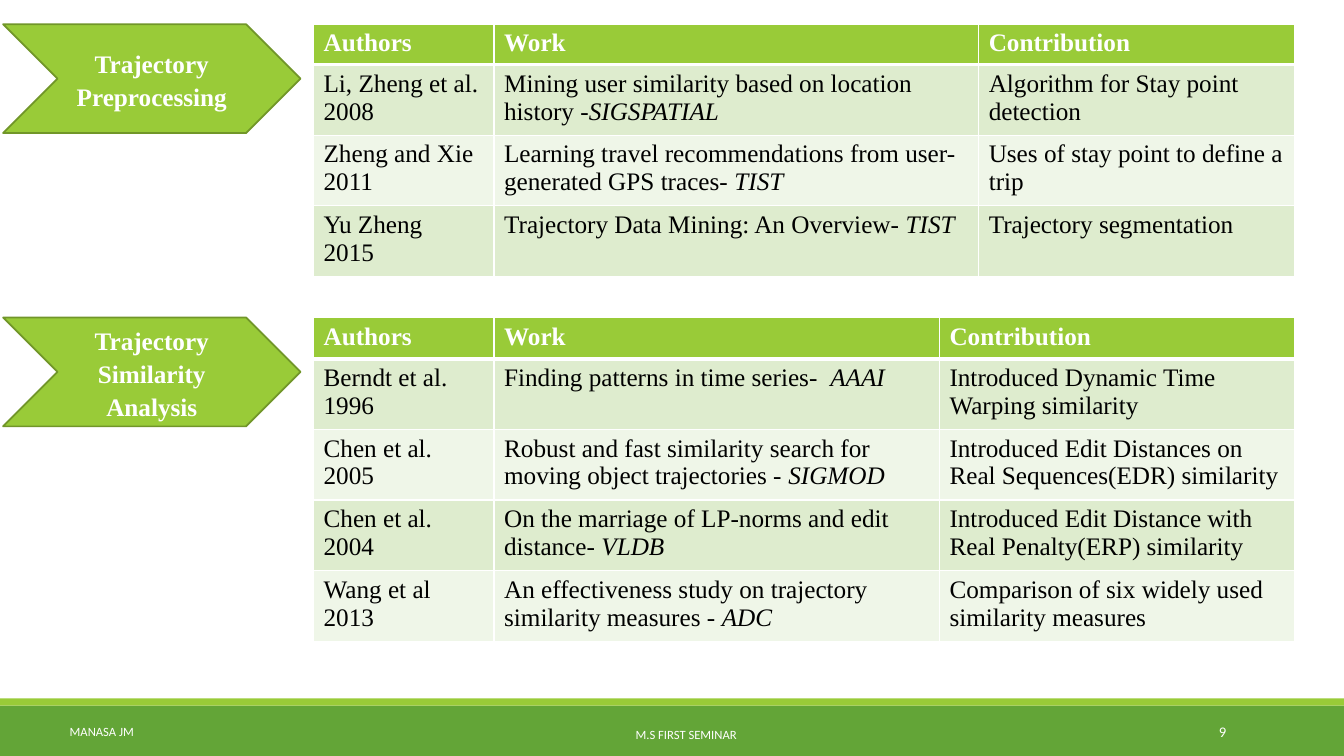
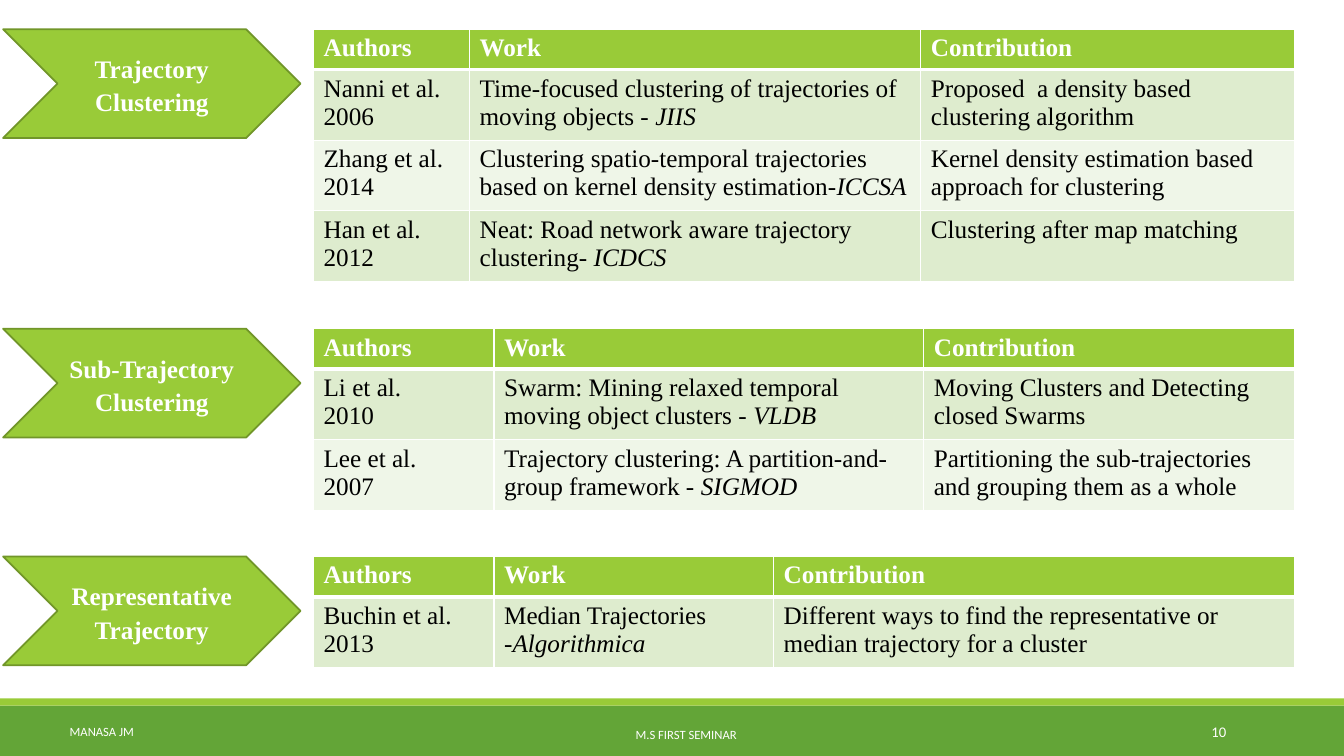
from dataclasses import dataclass

from lxml import etree
from pptx import Presentation
from pptx.dml.color import RGBColor
from pptx.enum.shapes import MSO_SHAPE
from pptx.enum.text import MSO_ANCHOR, PP_ALIGN
from pptx.oxml.ns import qn
from pptx.util import Inches, Pt

RECTANGLE, CHEVRON = MSO_SHAPE.RECTANGLE, MSO_SHAPE.CHEVRON
CENTER, RIGHT = PP_ALIGN.CENTER, PP_ALIGN.RIGHT
MIDDLE = MSO_ANCHOR.MIDDLE


@dataclass(frozen=True)
class Theme:
    lime: str = "99CB38"
    green: str = "63A537"
    outline: str = "719629"
    bands: tuple = ("DEECCE", "EFF6E8")
    white: str = "FFFFFF"
    black: str = "000000"
    body_font: str = "Times New Roman"
    footer_font: str = "Calibri"
    body_size: float = 18
    number_size: float = 10.5
    footer_size: float = 9


@dataclass(frozen=True)
class Box:
    left: int
    top: int
    width: int
    height: int

    def inner(self, left, top, width, height):
        """Return an inner box given in percent of this one."""
        return Box(self.left + int(self.width * left / 100),
                   self.top + int(self.height * top / 100),
                   int(self.width * width / 100),
                   int(self.height * height / 100))

    def frame(self):
        return self.left, self.top, self.width, self.height


@dataclass(frozen=True)
class Section:
    """A topic and its papers; lengths are percent of the slide."""
    topic: str
    top: float
    columns: tuple      # percent of the table's width
    papers: tuple       # authors, title, venue, contribution
    header_height: float = 5.07
    first_height: float = 8.8


THEME = Theme()
PAGE = Box(0, 0, Inches(13.33), Inches(7.5))
HEADINGS = ("Authors", "Work", "Contribution")
CHEVRON_HEIGHT = 14.4
ROW_HEIGHT = 8.8


def color(value):
    return RGBColor.from_string(value)


def style_font(font, name, size, value, bold=False):
    font.name, font.size, font.bold = name, Pt(size), bold
    font.color.rgb = color(value)


def add_block(slide, preset, box, fill):
    shape = slide.shapes.add_shape(preset, *box.frame())
    shape.shadow.inherit = False
    shape.fill.solid()
    shape.fill.fore_color.rgb = color(fill)
    shape.line.fill.background()
    return shape


def add_chevron(slide, box, topic):
    shape = add_block(slide, CHEVRON, box, THEME.lime)
    shape.line.color.rgb = color(THEME.outline)
    shape.line.width = Pt(1.25)
    text_frame = shape.text_frame
    text_frame.word_wrap = True
    text_frame.vertical_anchor = MIDDLE
    text_frame.text = topic
    paragraph = text_frame.paragraphs[0]
    paragraph.alignment = CENTER
    paragraph.line_spacing = 1.1
    style_font(paragraph.runs[0].font, THEME.body_font, THEME.body_size,
               THEME.white, True)


def set_borders(cell, top, bottom):
    properties = cell._tc.get_or_add_tcPr()
    widths = (("a:lnL", 1), ("a:lnR", 1), ("a:lnT", top), ("a:lnB", bottom))
    for index, (tag, width) in enumerate(widths):
        line = etree.Element(qn(tag), w=str(Pt(width)))
        fill = etree.SubElement(line, qn("a:solidFill"))
        etree.SubElement(fill, qn("a:srgbClr"), val=THEME.white)
        properties.insert(index, line)


def fill_cell(cell, row, text, venue=""):
    header = row == 0
    cell.fill.solid()
    cell.fill.fore_color.rgb = color(
        THEME.lime if header else THEME.bands[(row - 1) % 2])
    set_borders(cell, 3 if row == 1 else 1, 3 if header else 1)
    cell.text_frame.text = text
    if venue:
        run = cell.text_frame.paragraphs[-1].add_run()
        run.text = venue
        run.font.italic = True
    for paragraph in cell.text_frame.paragraphs:
        for run in paragraph.runs:
            style_font(run.font, THEME.body_font, THEME.body_size,
                       THEME.white if header else THEME.black, header)


def add_paper_table(slide, box, section, heights):
    table = slide.shapes.add_table(
        len(heights), len(HEADINGS), *box.frame()).table
    for column, share in zip(table.columns, section.columns):
        column.width = int(box.width * share / 100)
    for row, height in zip(table.rows, heights):
        row.height = int(box.height * height / sum(heights))
    for index, heading in enumerate(HEADINGS):
        fill_cell(table.cell(0, index), 0, heading)
    for row, (authors, title, venue, result) in enumerate(section.papers, 1):
        fill_cell(table.cell(row, 0), row, authors)
        fill_cell(table.cell(row, 1), row, title, venue)
        fill_cell(table.cell(row, 2), row, result)


def add_section(slide, page, section):
    heights = [section.header_height, section.first_height]
    heights += [ROW_HEIGHT] * (len(section.papers) - 1)
    add_paper_table(slide, page.inner(23.33, section.top, 73, sum(heights)),
                    section, heights)
    add_chevron(slide, page.inner(0.23, section.top, 22.13, CHEVRON_HEIGHT),
                section.topic)


def add_footer(slide, box, number):
    # Bands
    add_block(slide, RECTANGLE, box.inner(0, 12.3, 100, 87.7), THEME.green)
    add_block(slide, RECTANGLE, box.inner(0, 0, 100, 12.3), THEME.lime)
    # Author, event and slide number: left, top, width
    labels = (
        ("MANASA JM", (0, 23, 15.15), CENTER, THEME.footer_size),
        ("M.S FIRST SEMINAR", (31.3, 28, 39.5), CENTER, THEME.footer_size),
        (str(number), (81.25, 23, 10.72), RIGHT, THEME.number_size),
    )
    for text, place, alignment, size in labels:
        label = slide.shapes.add_textbox(*box.inner(*place, 70).frame())
        text_frame = label.text_frame
        text_frame.word_wrap = True
        text_frame.vertical_anchor = MIDDLE
        text_frame.text = text
        paragraph = text_frame.paragraphs[0]
        paragraph.alignment = alignment
        style_font(paragraph.runs[0].font, THEME.footer_font, size,
                   THEME.white)


def add_literature_slide(presentation, number, sections):
    slide = presentation.slides.add_slide(presentation.slide_layouts[6])
    add_footer(slide, PAGE.inner(0, 92.4, 100, 7.6), number)
    for section in sections:
        add_section(slide, PAGE, section)


# Slide number and its sections
SLIDES = {
    9: (
        Section("Trajectory Preprocessing", 3.2, (18.4, 49.4, 32.2), (
            ("Li, Zheng et al.\n2008",
             "Mining user similarity based on location history -",
             "SIGSPATIAL", "Algorithm for Stay point detection"),
            ("Zheng and Xie\n2011",
             "Learning travel recommendations from user-generated GPS traces- ",
             "TIST", "Uses of stay point to define a trip"),
            ("Yu Zheng\n2015", "Trajectory Data Mining: An Overview- ",
             "TIST", "Trajectory segmentation"),
        )),
        Section("Trajectory Similarity Analysis", 42, (18.4, 45.4, 36.2), (
            ("Berndt et al.\n1996", "Finding patterns in time series-  ",
             "AAAI", "Introduced Dynamic Time Warping similarity"),
            ("Chen et al.\n2005",
             "Robust and fast similarity search for moving object trajectories - ",
             "SIGMOD",
             "Introduced Edit Distances on Real Sequences(EDR) similarity"),
            ("Chen et al.\n2004",
             "On the marriage of LP-norms and edit distance- ", "VLDB",
             "Introduced Edit Distance with Real Penalty(ERP) similarity"),
            ("Wang et al\n2013",
             "An effectiveness study on trajectory similarity measures - ",
             "ADC", "Comparison of six widely used similarity measures"),
        ), header_height=5.47),
    ),
    10: (
        Section("Trajectory Clustering", 3.87, (15.9, 46, 38.1), (
            ("Nanni et al.\n2006",
             "Time-focused clustering of trajectories of moving objects - ",
             "JIIS", "Proposed  a density based clustering algorithm"),
            ("Zhang et al.\n2014",
             "Clustering spatio-temporal trajectories based on kernel "
             "density estimation-", "ICCSA",
             "Kernel density estimation based approach for clustering"),
            ("Han et al.\n2012",
             "Neat: Road network aware trajectory clustering- ", "ICDCS",
             "Clustering after map matching"),
        ), first_height=9.2),
        Section("Sub-Trajectory Clustering", 43.47, (18.4, 43.8, 37.8), (
            ("Li et al.\n2010",
             "Swarm: Mining relaxed temporal moving object clusters - ",
             "VLDB", "Moving Clusters and Detecting closed Swarms"),
            ("Lee et al.\n2007",
             "Trajectory clustering: A partition-and-group framework - ",
             "SIGMOD",
             "Partitioning the sub-trajectories and grouping them as a whole"),
        )),
        Section("Representative Trajectory", 73.6, (18.4, 28.5, 53.1), (
            ("Buchin et al.\n2013", "Median Trajectories\n-", "Algorithmica",
             "Different ways to find the representative or median trajectory "
             "for a cluster"),
        )),
    ),
}


def main():
    presentation = Presentation()
    presentation.slide_width = PAGE.width
    presentation.slide_height = PAGE.height
    for number, sections in SLIDES.items():
        add_literature_slide(presentation, number, sections)
    presentation.save("out.pptx")


if __name__ == "__main__":
    main()
